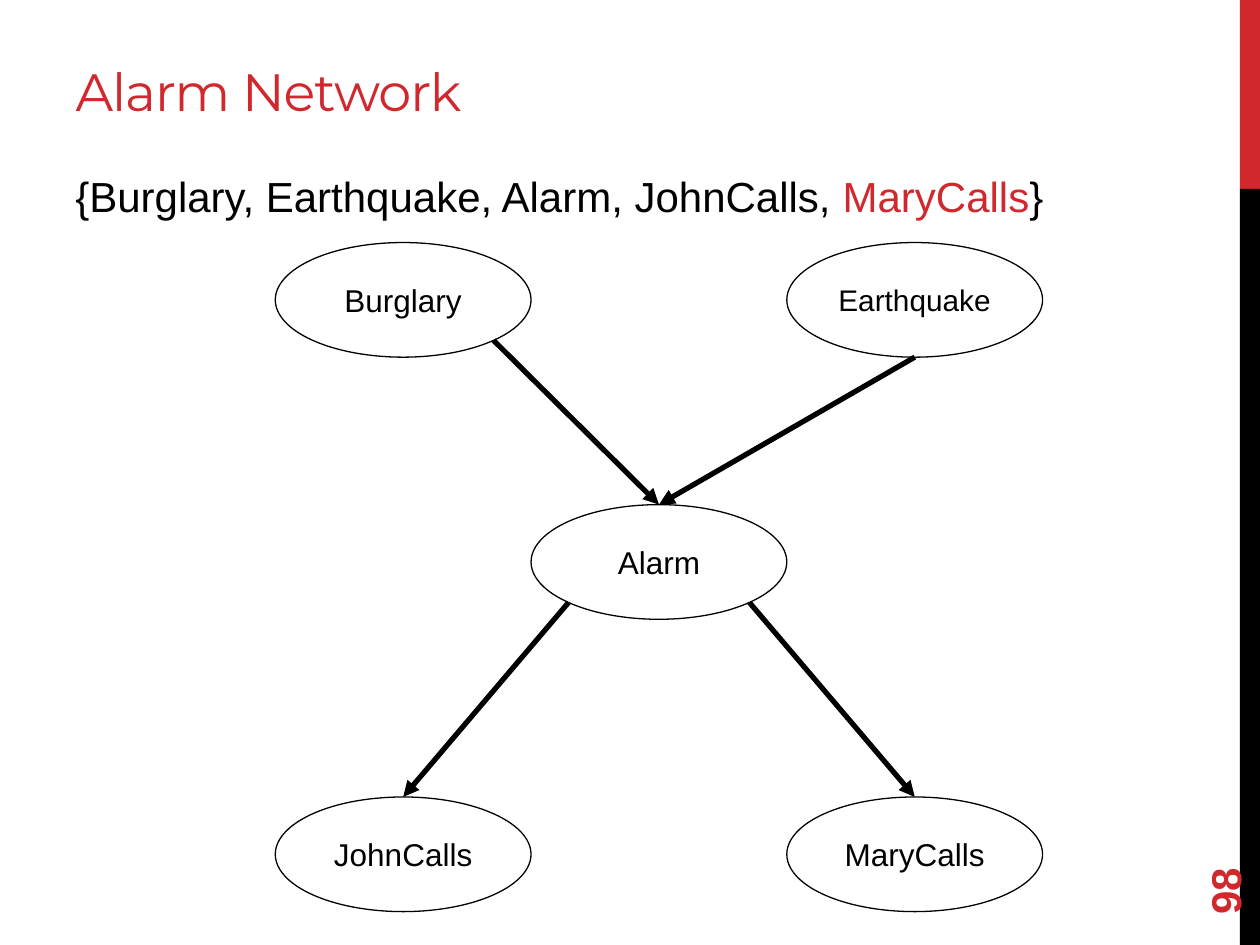
"""Build the Alarm Network slide: a Bayesian network of five variables."""
from math import sqrt

from lxml import etree
from pptx import Presentation
from pptx.dml.color import RGBColor
from pptx.enum.shapes import MSO_CONNECTOR, MSO_SHAPE
from pptx.enum.text import MSO_ANCHOR, MSO_AUTO_SIZE, PP_ALIGN
from pptx.oxml.ns import qn
from pptx.util import Inches, Pt

ELLIPSE, RECTANGLE = MSO_SHAPE.OVAL, MSO_SHAPE.RECTANGLE
STRAIGHT = MSO_CONNECTOR.STRAIGHT
TOP, MIDDLE, BOTTOM = MSO_ANCHOR.TOP, MSO_ANCHOR.MIDDLE, MSO_ANCHOR.BOTTOM
LEFT, CENTER = PP_ALIGN.LEFT, PP_ALIGN.CENTER
NO_AUTOFIT = MSO_AUTO_SIZE.NONE

COLORS = {"red": "D1282E", "black": "000000"}
TITLE = "Alarm Network"
PAGE_NUMBER = "98"
VARIABLES = [
    ("{Burglary, Earthquake, Alarm, JohnCalls, ", "black"),
    ("MaryCalls", "red"),
    ("}", "black"),
]
SIDE_BARS = [("red", 0, 1.5), ("black", 1.5, 6)]
NODE_WIDTH, NODE_HEIGHT = 2.03, 0.91
COLUMNS = [3.2, 5.23, 7.26]
ROWS = [2.38, 4.46, 6.78]
NODES = {
    "Burglary": (0, 0, 18),
    "Earthquake": (2, 0, 17),
    "Alarm": (1, 1, 18),
    "JohnCalls": (0, 2, 18),
    "MaryCalls": (2, 2, 18),
}
DIAGONAL = 1 / sqrt(2)
EXITS = {
    "bottom left": (-DIAGONAL, DIAGONAL),
    "bottom": (0, 1),
    "bottom right": (DIAGONAL, DIAGONAL),
}
ARROWS = [
    ("Burglary", "bottom right", "Alarm"),
    ("Earthquake", "bottom", "Alarm"),
    ("Alarm", "bottom left", "JohnCalls"),
    ("Alarm", "bottom right", "MaryCalls"),
]


def color(name):
    return RGBColor.from_string(COLORS[name])


def box(left, top, width, height):
    return [Inches(value) for value in (left, top, width, height)]


def write(shape, runs, size, font_name="Arial", anchor=TOP, alignment=LEFT, inset=0.05):
    frame = shape.text_frame
    frame.word_wrap = True
    frame.auto_size = NO_AUTOFIT
    frame.vertical_anchor = anchor
    frame.margin_left = frame.margin_right = Inches(0.1)
    frame.margin_top = frame.margin_bottom = Inches(inset)
    paragraph = frame.paragraphs[0]
    paragraph.alignment = alignment
    paragraph.font.size = Pt(size)
    paragraph.font.name = font_name
    for text, color_name in runs:
        run = paragraph.add_run()
        run.text = text
        run.font.color.rgb = color(color_name)
    return paragraph


def add_side_bar(slide, color_name, top, height):
    shape = slide.shapes.add_shape(RECTANGLE, *box(9.84, top, 0.16, height))
    shape.shadow.inherit = False
    shape.fill.solid()
    shape.fill.fore_color.rgb = color(color_name)
    shape.line.fill.background()


def add_title(slide):
    title = slide.shapes.title
    title.left, title.top, title.width, title.height = box(0.5, 0.17, 8.84, 0.85)
    paragraph = write(title, [(TITLE, "red")], 30, "Montserrat", BOTTOM)
    paragraph.runs[0].font._element.set("spc", "-60")


def add_page_number(slide):
    number = slide.shapes.add_textbox(*box(9, 6.44, 1.44, 0.4))
    number.rotation = 270
    write(number, [(PAGE_NUMBER, "red")], 24, anchor=MIDDLE).font.bold = True


def add_variables(slide):
    body = slide.shapes.add_textbox(*box(0.5, 1.3, 8.84, 6.05))
    paragraph = write(body, VARIABLES, 24)
    paragraph.space_before, paragraph.space_after = Pt(10.8), Pt(6)


def add_node(slide, name, column, row, size):
    left = COLUMNS[column] - NODE_WIDTH / 2
    top = ROWS[row] - NODE_HEIGHT / 2
    node = slide.shapes.add_shape(ELLIPSE, *box(left, top, NODE_WIDTH, NODE_HEIGHT))
    node.shadow.inherit = False
    node.fill.background()
    node.line.color.rgb = color("black")
    node.line.width = Pt(0.75)
    write(node, [(name, "black")], size, anchor=MIDDLE, alignment=CENTER, inset=0.1)


def rim_point(name, direction):
    column, row, _ = NODES[name]
    across, down = direction
    return (Inches(COLUMNS[column] + across * NODE_WIDTH / 2),
            Inches(ROWS[row] + down * NODE_HEIGHT / 2))


def add_arrow(slide, cause, exit_name, effect):
    start, end = rim_point(cause, EXITS[exit_name]), rim_point(effect, (0, -1))
    arrow = slide.shapes.add_connector(STRAIGHT, *start, *end)
    arrow.line.color.rgb = color("black")
    arrow.line.width = Pt(3)
    properties = arrow._element.spPr
    etree.SubElement(properties.find(qn("a:ln")), qn("a:tailEnd"), type="triangle")
    etree.SubElement(properties, qn("a:effectLst"))


def main():
    presentation = Presentation()
    presentation.slide_width, presentation.slide_height = Inches(10), Inches(7.5)
    slide = presentation.slides.add_slide(presentation.slide_layouts[5])
    for bar in SIDE_BARS:
        add_side_bar(slide, *bar)
    add_title(slide)
    add_page_number(slide)
    for name, placement in NODES.items():
        add_node(slide, name, *placement)
    for arrow in ARROWS:
        add_arrow(slide, *arrow)
    add_variables(slide)
    presentation.save("out.pptx")


if __name__ == "__main__":
    main()
